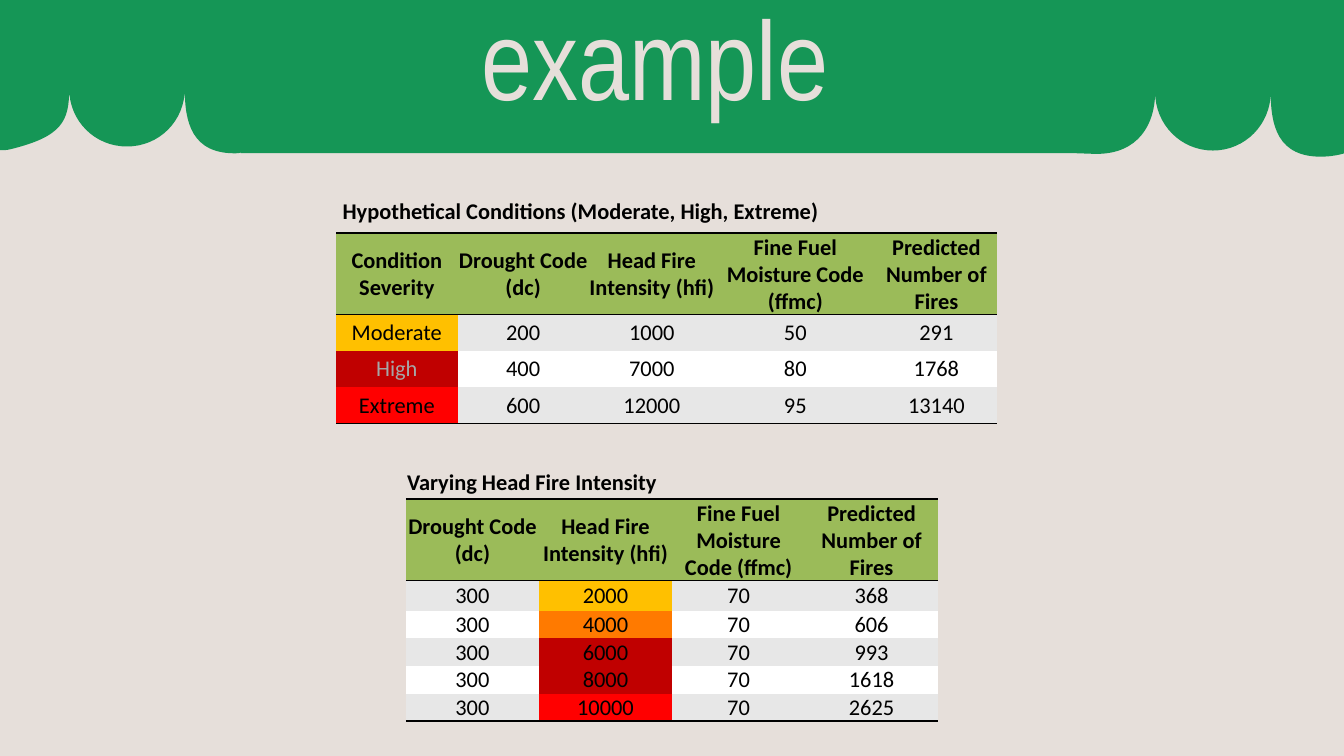
"""Build a slide of two fire prediction tables under a scalloped banner."""
from dataclasses import dataclass, field

from lxml.etree import SubElement
from pptx import Presentation
from pptx.dml.color import RGBColor
from pptx.enum.text import MSO_ANCHOR, MSO_AUTO_SIZE, PP_ALIGN
from pptx.oxml.ns import qn
from pptx.util import Inches, Pt

GREEN, CREAM, HEADER = "159656", "E6DFDA", "9BBB59"
AMBER, ORANGE, CRIMSON, RED = "FFC000", "FF7A00", "C00000", "FF0000"
BLACK, SILVER = "000000", "A6A6A6"
BANDS = ("E7E7E7", "FFFFFF")
NO_STYLE = "{2D5ABB26-0587-4C30-8999-92F81FD0307C}"

BANNER_START = (20.67, -1.2)
BANNER_SEGMENTS = [
    (20.58, -1.81, 20.33, -2.06, 19.77, -2), (19.3, -1.95, 18.91, -1.61, 18.91, -1.14),
    (18.91, -1.61, 18.53, -2, 18.05, -2), (17.57, -2, 17.19, -1.61, 17.19, -1.14),
    (17.19, -1.59, 17.02, -2.01, 16.54, -2.04), (16.54, -2.04),
    (16.54, -2.04, 16.44, -2.05, 16.44, -2.05), (3.74, -2.05),
    (3.7, -2.05, 3.66, -2.05, 3.62, -2.05), (3.14, -2.03, 2.75, -1.66, 2.75, -1.19),
    (2.75, -1.66, 2.37, -2.05, 1.89, -2.05), (1.41, -2.05, 1.03, -1.66, 1.03, -1.19),
    (1.03, -1.66, 0.56, -2.08, 0.32, -2.08), (-0.16, -2.08, -0.48, -1.77, -0.64, -1.31),
    (-0.7, -0.76), (-0.7, 0.89), (-0.67, 1.35),
    (-0.54, 1.88, -0.3, 2.33, 0.16, 2.22), (0.93, 2.03, 1.03, 1.8, 1.03, 1.32),
    (1.03, 1.8, 1.41, 2.18, 1.89, 2.18), (2.37, 2.18, 2.75, 1.8, 2.75, 1.32),
    (2.75, 1.8, 2.84, 2.31, 3.55, 2.28), (3.56, 2.28, 3.57, 2.28, 3.58, 2.27),
    (3.58, 2.28), (3.58, 2.28, 16.01, 2.28, 16.01, 2.28), (16.29, 2.29), (16.29, 2.29),
    (16.3, 2.29, 16.31, 2.29, 16.32, 2.29),
    (16.94, 2.29, 17.19, 1.85, 17.19, 1.37), (17.19, 1.85, 17.57, 2.24, 18.05, 2.24),
    (18.53, 2.24, 18.91, 1.85, 18.91, 1.37), (18.91, 1.85, 19, 2.36, 19.71, 2.33),
    (20.19, 2.31, 20.52, 2.04, 20.61, 1.71), (20.7, 1.34, 20.7, 0.97, 20.7, 0.97),
    (20.7, -0.7), (20.67, -1.2),
]


@dataclass
class FireTable:
    caption: str
    caption_box: tuple[float, float, float, float]
    left: float
    top: float
    height: float
    widths: list[float]
    row_heights: list[float]
    rows: list[list[str]]
    severity_column: int
    severity_fills: list[str]
    text_colors: dict[str, str] = field(default_factory=dict)


FIRE_TABLES = [
    FireTable(
        "Hypothetical Conditions (Moderate, High, Extreme)", (5, 2.88, 7.36, 0.5),
        5, 3.47, 2.84, [1.81, 1.95, 1.88, 2.39, 1.81], [0.09] + [0.54] * 3,
        [["Condition Severity", "Drought Code (dc)", "Head Fire Intensity (hfi)",
          "Fine Fuel Moisture Code (ffmc)", "Predicted Number of Fires"],
         ["Moderate", "200", "1000", "50", "291"],
         ["High", "400", "7000", "80", "1768"],
         ["Extreme", "600", "12000", "95", "13140"]],
        0, [AMBER, CRIMSON, RED], {"High": SILVER}),
    FireTable(
        "Varying Head Fire Intensity", (5.96, 6.92, 3.96, 0.5),
        6.04, 7.43, 3.3, [1.98] * 4, [0.41, 0.45] + [0.41] * 4,
        [["Drought Code (dc)", "Head Fire Intensity (hfi)",
          "Fine Fuel Moisture Code (ffmc)", "Predicted Number of Fires"],
         ["300", "2000", "70", "368"],
         ["300", "4000", "70", "606"],
         ["300", "6000", "70", "993"],
         ["300", "8000", "70", "1618"],
         ["300", "10000", "70", "2625"]],
        1, [AMBER, ORANGE, CRIMSON, CRIMSON, RED]),
]


def paint(fill, color: str) -> None:
    fill.solid()
    fill.fore_color.rgb = RGBColor.from_string(color)


def set_values(target, values: dict) -> None:
    for name, value in values.items():
        setattr(target, name, value)


def write(frame, text: str, align, color: str, size: float = 24,
          name: str = "Calibri", bold: bool = False):
    para = frame.paragraphs[0]
    para.alignment = align
    span = para.add_run()
    span.text = text
    set_values(span.font, {"size": Pt(size), "name": name, "bold": bold})
    paint(span.font.fill, color)
    return para


def bend_lines(shape, segments: list[tuple]) -> None:
    lines = list(shape._element.iter(qn("a:lnTo")))
    for line, segment in zip(lines, segments):
        if len(segment) == 6:
            line.tag = qn("a:cubicBezTo")
            for index in (0, 1):
                x, y = map(Inches, segment[2 * index:2 * index + 2])
                control = SubElement(line, qn("a:pt"), x=str(x - shape.left), y=str(y - shape.top))
                line.insert(index, control)


def draw_banner(page) -> None:
    builder = page.shapes.build_freeform(*map(Inches, BANNER_START), scale=1.0)
    ends = [tuple(map(Inches, segment[-2:])) for segment in BANNER_SEGMENTS]
    builder.add_line_segments(ends, close=True)
    banner = builder.convert_to_shape()
    bend_lines(banner, BANNER_SEGMENTS)
    banner.shadow.inherit = False
    paint(banner.fill, GREEN)
    banner.line.fill.background()


def draw_title(page, text: str) -> None:
    title = page.shapes.title
    set_values(title, {"left": Inches(1.5), "top": Inches(0.49),
                       "width": Inches(16.49), "height": Inches(1.41)})
    set_values(title.text_frame, {
        "margin_left": 0, "margin_right": 0, "margin_top": 0, "margin_bottom": 0,
        "vertical_anchor": MSO_ANCHOR.TOP, "word_wrap": True,
        "auto_size": MSO_AUTO_SIZE.SHAPE_TO_FIT_TEXT})
    para = write(title.text_frame, text, PP_ALIGN.CENTER, CREAM, 120, "Arial Narrow")
    set_values(para, {"line_spacing": Pt(96), "space_before": Pt(0)})
    page.shapes._spTree.append(title._element)


def add_border(cell, side: str) -> None:
    line = SubElement(cell._tc.get_or_add_tcPr(), qn(f"a:{side}"), w=str(Pt(2)))
    SubElement(SubElement(line, qn("a:solidFill")), qn("a:srgbClr"), val=BLACK)


def draw_caption(page, fire_table: FireTable) -> None:
    caption = page.shapes.add_textbox(*map(Inches, fire_table.caption_box))
    set_values(caption.text_frame, {"word_wrap": False,
                                    "auto_size": MSO_AUTO_SIZE.SHAPE_TO_FIT_TEXT})
    write(caption.text_frame, fire_table.caption, PP_ALIGN.LEFT, BLACK, bold=True)


def draw_table(page, fire_table: FireTable) -> None:
    frame = page.shapes.add_table(
        len(fire_table.rows), len(fire_table.widths),
        Inches(fire_table.left), Inches(fire_table.top),
        Inches(sum(fire_table.widths)), Inches(fire_table.height))
    table = frame.table
    set_values(table, {"first_row": False, "horz_banding": False})
    table._tbl.tblPr.find(qn("a:tableStyleId")).text = NO_STYLE
    for column, width in zip(table.columns, fire_table.widths):
        column.width = Inches(width)
    for row, height in zip(table.rows, fire_table.row_heights):
        row.height = Inches(height)
    frame.height = Inches(fire_table.height)

    for row_index, texts in enumerate(fire_table.rows):
        is_header = row_index == 0
        for column_index, text in enumerate(texts):
            cell = table.cell(row_index, column_index)
            set_values(cell, {
                "margin_left": Inches(0.01), "margin_right": Inches(0.01),
                "margin_top": Inches(0.01), "margin_bottom": 0,
                "vertical_anchor": MSO_ANCHOR.MIDDLE})
            if is_header:
                add_border(cell, "lnT")
                fill = HEADER
            elif column_index == fire_table.severity_column:
                fill = fire_table.severity_fills[row_index - 1]
            else:
                fill = BANDS[(row_index - 1) % 2]
            if is_header or row_index == len(fire_table.rows) - 1:
                add_border(cell, "lnB")
            paint(cell.fill, fill)
            write(cell.text_frame, text, PP_ALIGN.CENTER,
                  fire_table.text_colors.get(text, BLACK), bold=is_header)


def main() -> None:
    deck = Presentation()
    set_values(deck, {"slide_width": Inches(20), "slide_height": Inches(11.25)})
    page = deck.slides.add_slide(deck.slide_layouts[5])
    paint(page.background.fill, CREAM)
    draw_banner(page)
    draw_title(page, "example")
    for fire_table in FIRE_TABLES:
        draw_table(page, fire_table)
        draw_caption(page, fire_table)
    deck.save("out.pptx")


if __name__ == "__main__":
    main()
